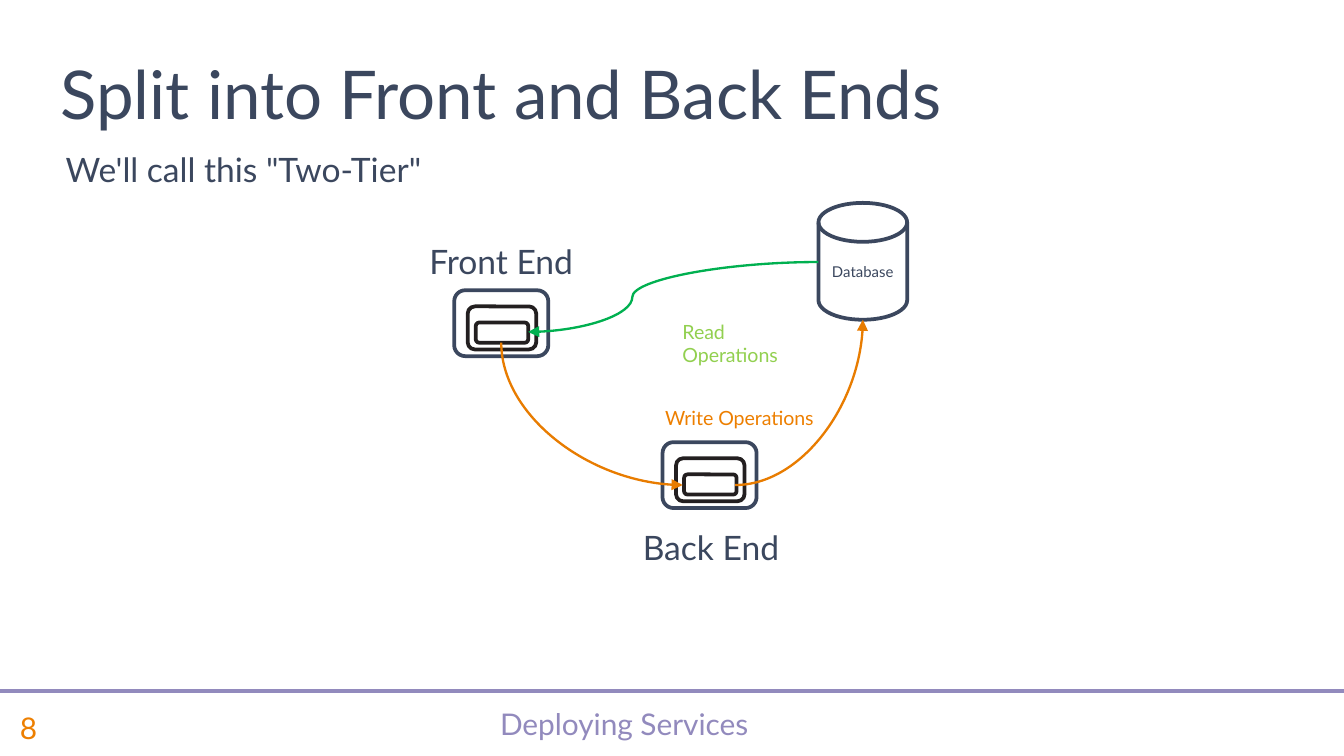
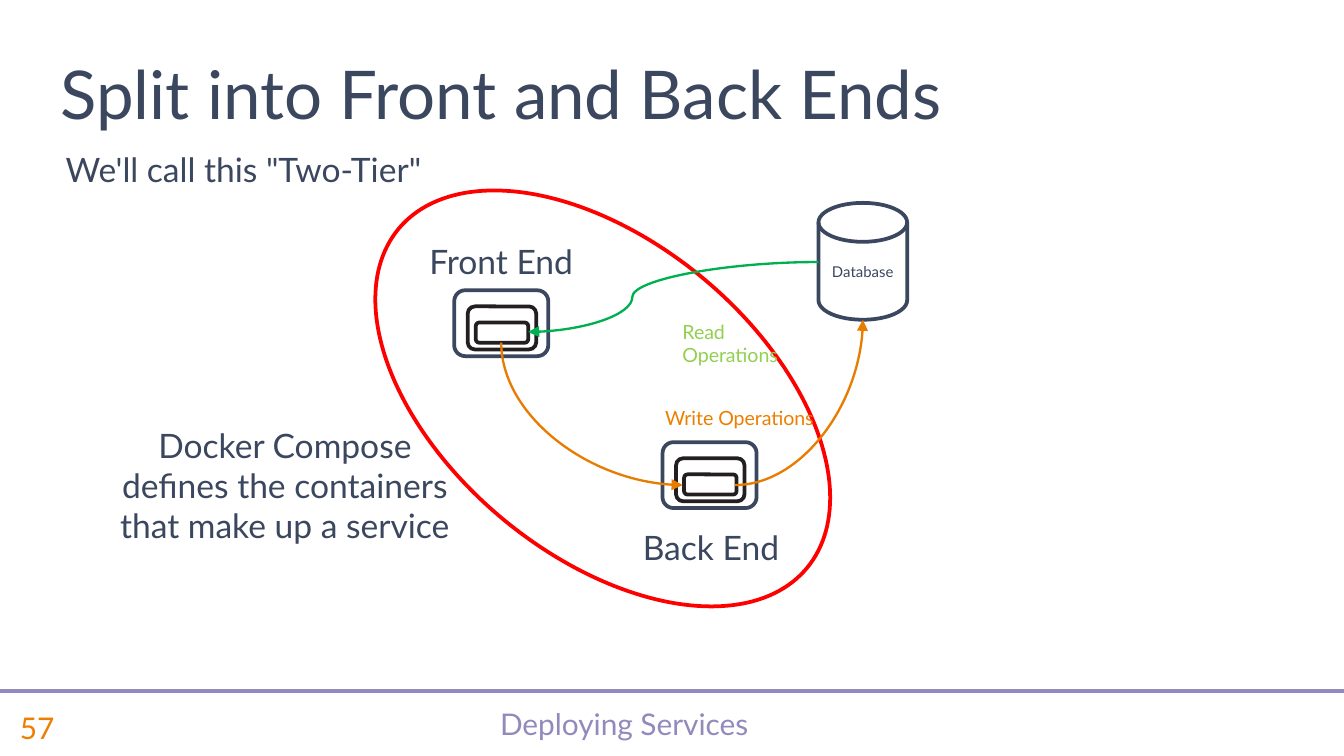
"""Build two slides on splitting a service into front and back ends."""
from lxml import etree
from pptx import Presentation, util as u
from pptx.dml.color import RGBColor
from pptx.enum import shapes, text
from pptx.oxml.ns import qn

W = 10
H = W * 9 / 16
FONT = "Lato"
NAVY, BLACK, PURPLE, ORANGE = "3B475E", "231F20", "928ABD", "ED7F00"
GREEN, LIME, RUST, RED, WHITE = "00B050", "92D050", "E87C00", "FF0000", "FFFFFF"
LEFT, CENTER = text.PP_ALIGN.LEFT, text.PP_ALIGN.CENTER
TOP, MIDDLE, BOTTOM = (text.MSO_ANCHOR.TOP, text.MSO_ANCHOR.MIDDLE,
                       text.MSO_ANCHOR.BOTTOM)
KIND = shapes.MSO_SHAPE

TITLE = "Split into Front and Back Ends"
FOOTER = "Deploying Services"
FOOTER_TOP, FOOTER_H, RULE_Y = 5.19, 0.44, 5.14
COMPOSE = ["Docker Compose", "defines the containers", "that make up a service"]
SLIDES = [
    {"number": "8", "compose": False},
    {"number": "57", "compose": True},
]

DATABASE = (6.09, 1.51, 0.66, 0.87)
COMPOSE_RING = (3.32, 0.99, 2.33, 3.95)
CONTAINERS = [(3.38, 2.16), (4.93, 3.29)]
LAYERS = [
    (0, 0, 0.7, 0.49, NAVY),
    (0.1, 0.12, 0.51, 0.32, BLACK),
    (0.16, 0.24, 0.39, 0.15, BLACK),
]
FLOWS = [
    ("curvedConnector3", (3.93, 2.47), (6.09, 1.95), GREEN, "headEnd", 35900),
    ("curvedConnector2", (5.47, 3.61), (6.42, 2.38), RUST, "tailEnd", None),
    ("curvedConnector2", (5.08, 3.61), (3.73, 2.55), RUST, "headEnd", None),
]
LABELS = [
    (["Write Operations"], (4.85, 2.97, 1.33, 0.29), 10.5, ORANGE, LEFT, False),
    (["Read Operations"], (4.98, 2.33, 1.26, 0.28), 10.5, LIME, LEFT, True),
    (["Front End"], (3.06, 1.74, 1.34, 0.4), 18, NAVY, CENTER, True),
    (["Back End"], (4.62, 3.87, 1.34, 0.4), 18, NAVY, CENTER, True),
    (["We'll call this \"Two-Tier\""], (0.39, 1.06, 4.35, 0.4), 18, NAVY, LEFT, True),
]
COMPOSE_LABEL = (COMPOSE, (0.78, 3.11, 2.68, 1.01), 18, NAVY, CENTER, False)


def rgb(value):
    return RGBColor.from_string(value)


def inches(values):
    return [u.Inches(v) for v in values]


def write(tf, lines, size, color, align=LEFT, anchor=TOP, wrap=True,
          fit=text.MSO_AUTO_SIZE.NONE, spacing=None):
    frame = {"word_wrap": wrap, "auto_size": fit, "vertical_anchor": anchor}
    for name, value in frame.items():
        setattr(tf, name, value)
    for i, line in enumerate(lines):
        p = tf.paragraphs[0] if i == 0 else tf.add_paragraph()
        p.alignment, p.line_spacing = align, spacing
        r = p.add_run()
        r.text = line
        for name, value in {"name": FONT, "size": u.Pt(size)}.items():
            setattr(r.font, name, value)
        r.font.color.rgb = rgb(color)


def add_text(s, lines, box, size, color, align=LEFT, wrap=True, **style):
    tf = s.shapes.add_textbox(*inches(box)).text_frame
    write(tf, lines, size, color, align, wrap=wrap, **style)


def add_label(s, label):
    add_text(s, *label, fit=text.MSO_AUTO_SIZE.SHAPE_TO_FIT_TEXT)


def add_outline(parent, kind, box, color):
    sp = parent.shapes.add_shape(kind, *inches(box))
    sp.shadow.inherit = False
    sp.fill.solid()
    sp.fill.fore_color.rgb = rgb(WHITE)
    sp.line.color.rgb = rgb(color)
    sp.line.width = u.Pt(2)
    return sp


def add_line(s, kind, start, end, color, width):
    line = s.shapes.add_connector(kind, *inches(start + end))
    line.line.color.rgb = rgb(color)
    line.line.width = u.Pt(width)
    etree.SubElement(line._element.spPr, qn("a:effectLst"))
    return line


def add_flow(s, preset, start, end, color, arrow, bend):
    flow = add_line(s, shapes.MSO_CONNECTOR.CURVE, start, end, color, 1.25)
    geometry = flow._element.spPr.find(qn("a:prstGeom"))
    geometry.set("prst", preset)
    if bend:
        guides = geometry.find(qn("a:avLst"))
        etree.SubElement(guides, qn("a:gd"), name="adj1", fmla=f"val {bend}")
    etree.SubElement(flow.line._get_or_add_ln(), qn(f"a:{arrow}"), type="triangle")


def add_container(s, left, top):
    group = s.shapes.add_group_shape()
    for dx, dy, w, h, color in LAYERS:
        add_outline(group, KIND.ROUNDED_RECTANGLE, (left + dx, top + dy, w, h), color)


def add_frame(s, number):
    add_text(s, [FOOTER], (0.78, FOOTER_TOP, 7.73, FOOTER_H), 16, PURPLE, CENTER,
             anchor=MIDDLE, spacing=0.8)
    add_text(s, [number], (0.05, FOOTER_TOP, 0.73, FOOTER_H), 16, ORANGE, anchor=MIDDLE)
    add_line(s, shapes.MSO_CONNECTOR.STRAIGHT, (0, RULE_Y), (W, RULE_Y), PURPLE, 2.25)
    title = s.shapes.title
    title.left, title.top, title.width, title.height = inches((0.35, 0.29, 7.66, 0.75))
    write(title.text_frame, [TITLE], 36, NAVY, anchor=BOTTOM)


def add_diagram(s):
    disk = add_outline(s, KIND.FLOWCHART_MAGNETIC_DISK, DATABASE, NAVY)
    write(disk.text_frame, ["Database"], 8, NAVY, CENTER, MIDDLE, wrap=False)
    for corner in CONTAINERS:
        add_container(s, *corner)
    for flow in FLOWS:
        add_flow(s, *flow)
    for label in LABELS:
        add_label(s, label)


def main():
    prs = Presentation()
    prs.slide_width, prs.slide_height = inches((W, H))
    for page in SLIDES:
        s = prs.slides.add_slide(prs.slide_layouts[5])
        add_frame(s, page["number"])
        if page["compose"]:
            ring = add_outline(s, KIND.OVAL, COMPOSE_RING, RED)
            ring.rotation = 309.7
        add_diagram(s)
        if page["compose"]:
            add_label(s, COMPOSE_LABEL)
    prs.save("out.pptx")


if __name__ == "__main__":
    main()
